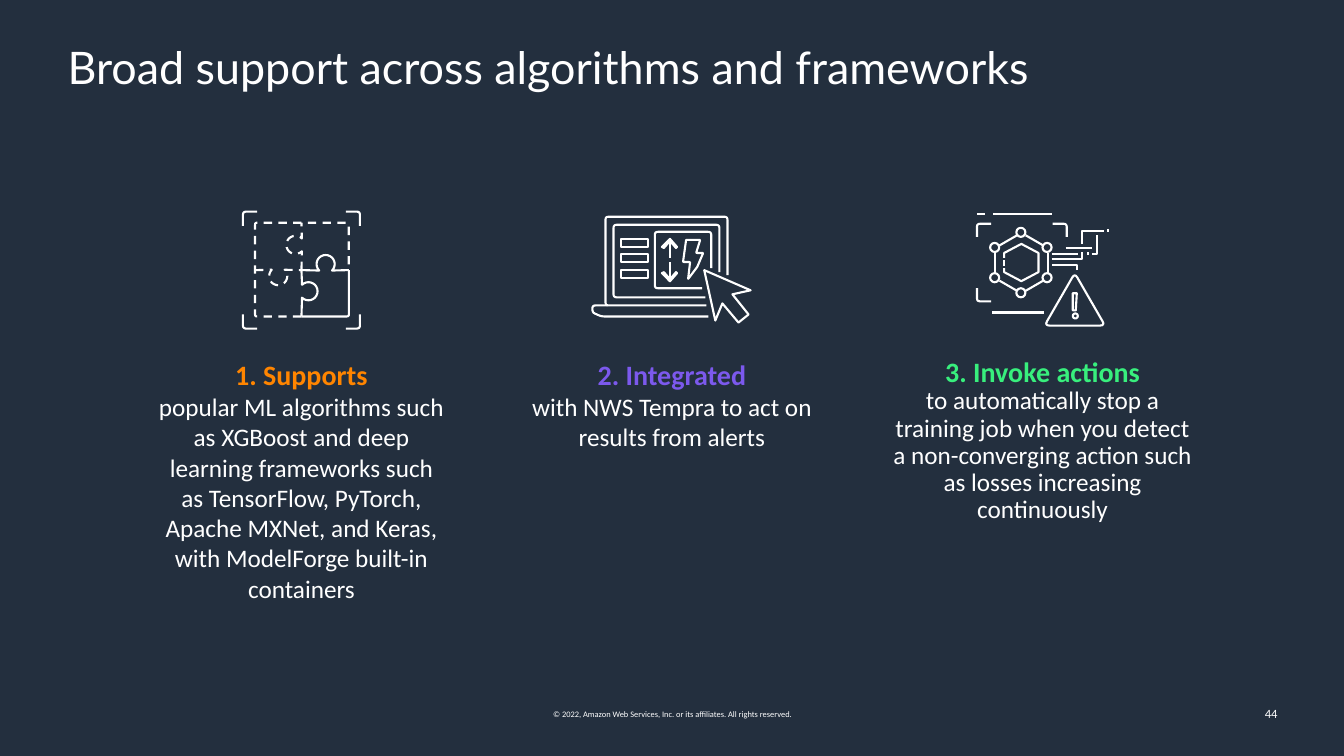
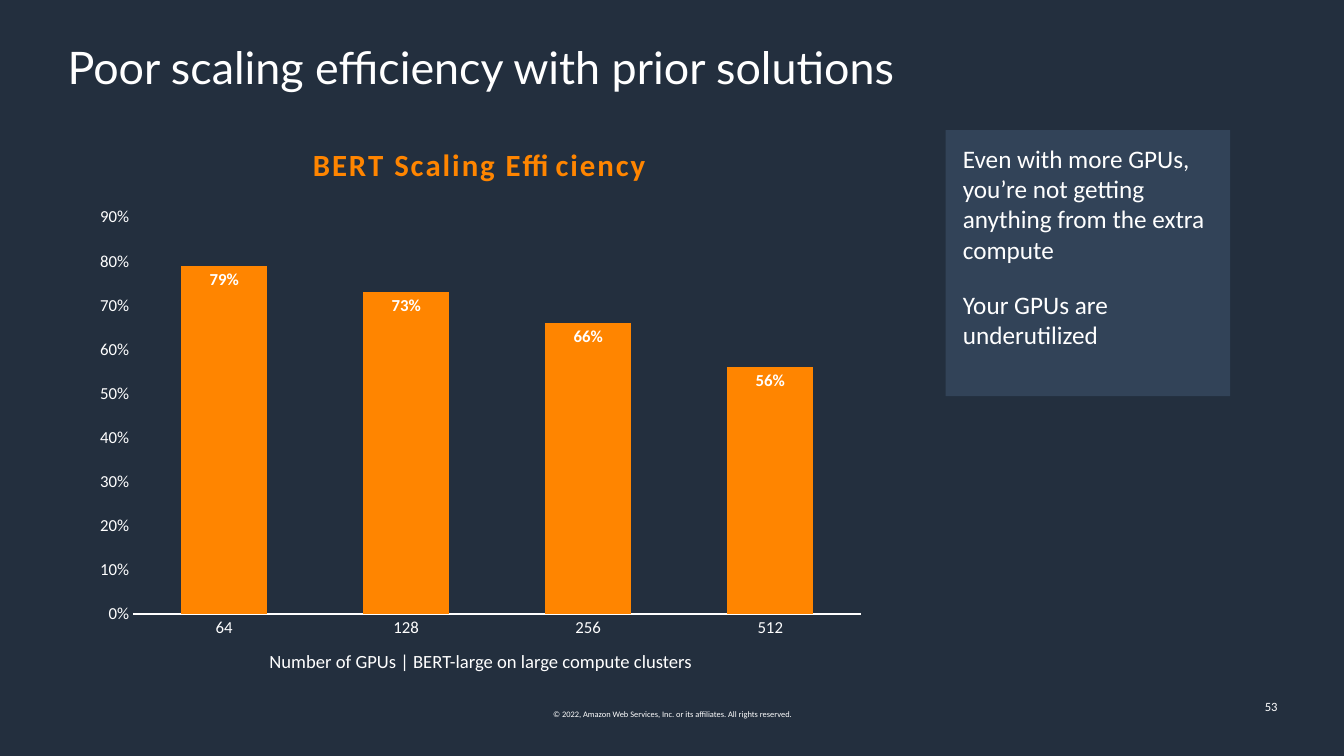
from dataclasses import dataclass
from math import cos, dist, radians, sin

from pptx import Presentation
from pptx.chart.data import CategoryChartData
from pptx.dml.color import RGBColor
from pptx.enum.chart import XL_CHART_TYPE, XL_LABEL_POSITION, XL_TICK_MARK
from pptx.enum.dml import MSO_LINE
from pptx.enum.shapes import MSO_CONNECTOR, MSO_SHAPE
from pptx.enum.text import MSO_ANCHOR, PP_ALIGN
from pptx.oxml.xmlchemy import OxmlElement
from pptx.util import Inches, Pt


@dataclass(frozen=True)
class Theme:
    background: RGBColor = RGBColor(0x23, 0x2F, 0x3E)
    panel: RGBColor = RGBColor(0x32, 0x43, 0x58)
    white: RGBColor = RGBColor(0xFF, 0xFF, 0xFF)
    arrowhead: RGBColor = RGBColor(0xEF, 0xF5, 0xED)
    orange: RGBColor = RGBColor(0xFF, 0x85, 0x00)
    purple: RGBColor = RGBColor(0x7C, 0x59, 0xED)
    green: RGBColor = RGBColor(0x38, 0xEF, 0x7D)
    title_font: str = "Lato"
    body_font: str = "Calibri"
    title: float = 32
    chart_title: float = 22
    heading: float = 20
    body: float = 18
    caption: float = 13.3
    axis: float = 12
    number: float = 9
    legal: float = 6
    stroke: float = 1.5


THEME = Theme()
LEGAL = "© 2022, Amazon Web Services, Inc. or its affiliates. All rights reserved."


# Text helpers
def set_all(target, **values):
    for name, value in values.items():
        setattr(target, name, value)


def style_font(font, size, color=THEME.white, bold=False, name=THEME.body_font):
    set_all(font, size=Pt(size), bold=bold, name=name)
    font.color.rgb = color


def set_frame(frame, margins=(0, 0), anchor=MSO_ANCHOR.TOP):
    side, top = (Inches(margin) for margin in margins)
    set_all(frame, word_wrap=True, vertical_anchor=anchor, margin_left=side,
            margin_right=side, margin_top=top, margin_bottom=top)


def write(frame, lines, **paragraph_format):
    """Each line is (text, size, color, bold)."""
    for index, (text, size, color, bold) in enumerate(lines):
        paragraph = frame.add_paragraph() if index else frame.paragraphs[0]
        paragraph.text = text
        set_all(paragraph, **paragraph_format)
        for run in paragraph.runs:
            style_font(run.font, size, color, bold)


def add_text(slide, box, lines, margins=(0, 0), anchor=MSO_ANCHOR.TOP, **paragraph_format):
    frame = slide.shapes.add_textbox(*map(Inches, box)).text_frame
    set_frame(frame, margins, anchor)
    write(frame, lines, **paragraph_format)


# Icon drawing, in inches from the icon's own origin
def arc(center_x, center_y, radius, start, end, steps=18):
    angles = [radians(start + (end - start) * step / steps) for step in range(steps + 1)]
    return [(center_x + radius * cos(a), center_y + radius * sin(a)) for a in angles]


def round_corners(points, radius, closed):
    """Replace each corner with a short quadratic curve."""
    result = [] if closed else [points[0]]
    count = len(points)
    for index in range(count) if closed else range(1, count - 1):
        corner = points[index]
        ends = []
        for other in (points[index - 1], points[(index + 1) % count]):
            share = min(0.5, radius / dist(corner, other))
            ends.append([c + (o - c) * share for c, o in zip(corner, other)])
        for t in (0, 0.25, 0.5, 0.75, 1):
            result.append(tuple((1 - t) ** 2 * a + 2 * t * (1 - t) * c + t ** 2 * b
                                for a, c, b in zip(ends[0], corner, ends[1])))
    return result if closed else result + [points[-1]]


class Icon:
    def __init__(self, slide, left, top):
        self.shapes = slide.shapes.add_group_shape().shapes
        self.left, self.top = left, top

    def finish(self, shape, fill=None, dashed=False):
        shape.shadow.inherit = False
        if fill is None:
            shape.fill.background()
        else:
            shape.fill.solid()
            shape.fill.fore_color.rgb = fill
        self.stroke(shape, dashed)

    def stroke(self, shape, dashed=False):
        shape.line.color.rgb = THEME.white
        shape.line.width = Pt(THEME.stroke)
        if dashed:
            shape.line.dash_style = MSO_LINE.DASH

    def outline(self, points, closed=False, radius=0, fill=None, dashed=False):
        if radius:
            points = round_corners(points, radius, closed)
        grid = [(round(x * 1000), round(y * 1000)) for x, y in points]
        builder = self.shapes.build_freeform(*grid[0], scale=Inches(1) / 1000)
        builder.add_line_segments(grid[1:], close=closed)
        shape = builder.convert_to_shape(Inches(self.left), Inches(self.top))
        self.finish(shape, fill, dashed)

    def preset(self, kind, x, y, width, height):
        self.finish(self.shapes.add_shape(
            kind, Inches(self.left + x), Inches(self.top + y), Inches(width), Inches(height)))

    def line(self, x1, y1, x2, y2):
        connector = self.shapes.add_connector(
            MSO_CONNECTOR.STRAIGHT, Inches(self.left + x1), Inches(self.top + y1),
            Inches(self.left + x2), Inches(self.top + y2))
        self.stroke(connector)
        connector._element.spPr.append(OxmlElement("a:effectLst"))


def puzzle_icon(icon):
    # Dashed board with one solid piece
    icon.outline([(1.5, 1.04), (1.04, 1.04), (1.04, 0.11), (1.97, 0.11), (1.97, 0.58)],
                 radius=0.02, dashed=True)
    icon.outline([(1.97, 0.58), (1.97, 1.04), (1.5, 1.04)], radius=0.02)
    # Joints: start, knob, end, dashed
    joints = [((1.04, 0.58), arc(1.27, 0.64, 0.09, 225, -45), (1.5, 0.58), True),
              ((1.5, 0.58), arc(1.74, 0.52, 0.09, 135, 405), (1.97, 0.58), False),
              ((1.5, 1.04), arc(1.57, 0.79, 0.09, 135, -135), (1.5, 0.58), False),
              ((1.5, 0.58), arc(1.44, 0.33, 0.09, 45, 315), (1.5, 0.11), True)]
    for start, knob, end, dashed in joints:
        icon.outline([start, *knob, end], dashed=dashed)
    # Corner brackets
    for x, dx in ((0.92, 0.14), (2.08, -0.14)):
        for y, dy in ((0, 0.14), (1.16, -0.14)):
            icon.outline([(x, y + dy), (x, y), (x + dx, y)], radius=0.03)


def laptop_icon(icon):
    # Screen, lid, base and side panel
    for points in ([(1.97, 0.6), (1.97, 0.13), (0.92, 0.13), (0.92, 0.85), (1.83, 0.85)],
                   [(2.05, 0.63), (2.05, 0.05), (0.84, 0.05), (0.84, 0.93), (1.84, 0.93)],
                   [(1.86, 1.04), (0.8, 1.04), (0.71, 1), (0.71, 0.93), (0.86, 0.93)],
                   [(1.8, 0.76), (1.33, 0.76), (1.33, 0.2), (1.89, 0.2), (1.89, 0.56)]):
        icon.outline(points, radius=0.03)
    for y in (0.27, 0.42, 0.58):
        icon.preset(MSO_SHAPE.RECTANGLE, 0.99, y, 0.27, 0.08)
    # Cursor and lightning bolt
    icon.outline([(2.1, 0.82), (2.26, 1.02), (2.16, 1.1), (2, 0.91), (1.93, 1.08),
                  (1.82, 0.58), (2.28, 0.78)], closed=True)
    icon.outline([(1.66, 0.67), (1.68, 0.5), (1.61, 0.5), (1.64, 0.28), (1.78, 0.28),
                  (1.74, 0.41), (1.81, 0.41), (1.75, 0.55)], closed=True, radius=0.01)
    # Up and down arrows, mirrored about one height
    head = [(1.55, -0.13), (1.54, -0.12), (1.48, -0.19), (1.42, -0.12), (1.4, -0.13),
            (1.48, -0.21)]
    for sign in (1, -1):
        icon.line(1.48, 0.48 - 0.02 * sign, 1.48, 0.48 - 0.19 * sign)
        icon.outline([(x, 0.48 + sign * y) for x, y in head], closed=True,
                     fill=THEME.arrowhead)


def alert_icon(icon):
    # Hexagon of linked nodes
    nodes = arc(1.29, 0.51, 0.3, 30, 390, steps=6)
    for (x1, y1), (x2, y2) in zip(nodes, nodes[1:]):
        icon.preset(MSO_SHAPE.OVAL, x1 - 0.05, y1 - 0.05, 0.09, 0.09)
        dx, dy = (x2 - x1) / 6, (y2 - y1) / 6
        icon.line(x1 + dx, y1 + dy, x2 - dx, y2 - dy)
    icon.outline([(1.12, 0.46), (1.12, 0.41), (1.29, 0.32), (1.46, 0.41), (1.46, 0.6),
                  (1.29, 0.69), (1.12, 0.6), (1.12, 0.56)])
    # Frame corners
    for x, y, dx, dy in ((0.85, 0.89, 0.14, -0.13), (0.85, 0.12, 0.14, 0.13),
                         (1.74, 0.12, -0.14, 0.13)):
        icon.outline([(x, y + dy), (x, y), (x + dx, y)], radius=0.03)
    # Frame dashes and circuit traces
    for ends in ((1.12, 0.54, 1.12, 0.48), (1, 1, 1.51, 1), (1.01, 0.02, 1.59, 0.02),
                 (0.85, 0.02, 0.93, 0.02), (1.95, 0.4, 1.95, 0.43), (1.73, 0.36, 1.99, 0.36),
                 (1.59, 0.42, 1.85, 0.42), (2.15, 0.2, 2.15, 0.17)):
        icon.line(*ends)
    for trace in ([(1.99, 0.42), (2.04, 0.42), (2.04, 0.23)],
                  [(1.89, 0.32), (1.89, 0.19), (2.11, 0.19)],
                  [(1.59, 0.47), (1.89, 0.47), (1.89, 0.4)],
                  [(1.84, 0.58), (1.84, 0.53), (1.59, 0.53)]):
        icon.outline(trace)
    # Warning triangle
    icon.outline([(1.82, 0.61), (2.12, 1.13), (1.52, 1.13)], closed=True, radius=0.05)
    icon.outline([(1.8, 0.98), (1.8, 0.81), (1.84, 0.81), (1.83, 0.98)], closed=True)
    icon.preset(MSO_SHAPE.OVAL, 1.8, 1.01, 0.05, 0.05)


# Shared slide frame
def new_slide(presentation, title, number, number_anchor):
    slide = presentation.slides.add_slide(presentation.slide_layouts[5])
    heading = slide.shapes.title
    set_all(heading, left=Inches(0.67), top=Inches(0.4), width=Inches(12), height=Inches(0.59))
    set_frame(heading.text_frame, (0, 0.05))
    paragraph = heading.text_frame.paragraphs[0]
    paragraph.text = title
    set_all(paragraph, alignment=PP_ALIGN.LEFT, line_spacing=0.9)
    style_font(paragraph.runs[0].font, THEME.title, name=THEME.title_font)
    add_text(slide, (5.25, 6.99, 2.84, 0.2), [(LEGAL, THEME.legal, THEME.white, False)],
             (0, 0.05), alignment=PP_ALIGN.CENTER)
    add_text(slide, (9.77, 6.88, 3, 0.4), [(number, THEME.number, THEME.white, False)],
             (0.1, 0.05), number_anchor, alignment=PP_ALIGN.RIGHT)
    return slide


def add_column(slide, left, top, draw_icon, heading, color, text, spacing):
    draw_icon(Icon(slide, left, top))
    add_text(slide, (left, top + 1.45, 3, 2.54),
             [(heading, THEME.heading, color, True), (text, THEME.body, THEME.white, False)],
             alignment=PP_ALIGN.CENTER, line_spacing=spacing)


def build_support_slide(presentation):
    slide = new_slide(presentation, "Broad support across algorithms and frameworks", "44",
                      MSO_ANCHOR.MIDDLE)
    columns = [
        (puzzle_icon, "1. Supports", THEME.orange,
         "popular ML algorithms such as XGBoost and deep learning frameworks such\v"
         "as TensorFlow, PyTorch, Apache MXNet, and Keras, with ModelForge built-in containers",
         1.0),
        (laptop_icon, "2. Integrated", THEME.purple,
         "with NWS Tempra to act on results from alerts", 1.0),
        (alert_icon, "3. Invoke actions", THEME.green,
         "to automatically stop a training job when you detect a non-converging action "
         "such as losses increasing continuously", 0.9)]
    for index, column in enumerate(columns):
        add_column(slide, 1.49 + 3.675 * index, 2.1, *column)


# Chart
def manual_layout(parent, position, **values):
    for old in parent.findall("{*}layout"):
        parent.remove(old)
    layout, manual = OxmlElement("c:layout"), OxmlElement("c:manualLayout")
    layout.append(manual)
    target = {"layoutTarget": "inner"} if "w" in values else {}
    for name, value in {**target, "xMode": "edge", "yMode": "edge", **values}.items():
        element = OxmlElement(f"c:{name}")
        element.set("val", str(value))
        manual.append(element)
    parent.insert(position, layout)


def add_efficiency_chart(slide, left, top, width, height):
    data = CategoryChartData(number_format="0%")
    data.categories = ["64", "128", "256", "512"]
    data.add_series("Series 1", (0.79, 0.73, 0.66, 0.56))
    chart = slide.shapes.add_chart(XL_CHART_TYPE.COLUMN_CLUSTERED,
                                   *map(Inches, (left, top, width, height)), data).chart
    chart.has_legend = False
    style_font(chart.font, THEME.axis)
    # Title
    write(chart.chart_title.text_frame,
          [("BERT Scaling Efficiency", THEME.chart_title, THEME.orange, True)])
    run = chart.chart_title.text_frame.paragraphs[0].runs[0]
    run.font._element.set("spc", "150")
    manual_layout(chart.chart_title._element, 1, x=0.28, y=0.03)
    # Columns and labels
    plot = chart.plots[0]
    set_all(plot, gap_width=113, overlap=-59, vary_by_categories=False, has_data_labels=True)
    fill = plot.series[0].format.fill
    fill.solid()
    fill.fore_color.rgb = THEME.orange
    set_all(plot.data_labels, show_value=True, position=XL_LABEL_POSITION.INSIDE_END,
            number_format="0%", number_format_is_linked=False)
    style_font(plot.data_labels.font, THEME.axis, bold=True)
    manual_layout(chart._chartSpace.chart.plotArea, 0, x=0.06, y=0.18, w=0.92, h=0.75)
    # Axes
    for axis in (chart.category_axis, chart.value_axis):
        set_all(axis, major_tick_mark=XL_TICK_MARK.NONE, minor_tick_mark=XL_TICK_MARK.NONE,
                has_major_gridlines=False)
        style_font(axis.tick_labels.font, THEME.axis)
    line = chart.category_axis.format.line
    line.color.rgb = THEME.white
    line.width = Pt(THEME.stroke)
    set_all(chart.value_axis, minimum_scale=0, maximum_scale=0.9, major_unit=0.1)
    set_all(chart.value_axis.tick_labels, number_format="0%", number_format_is_linked=False)
    chart.value_axis.format.line.fill.background()
    # Caption
    add_text(slide, (left + 1.38, top + 5.16, 5.08, 0.47),
             [("Number of GPUs | BERT-large on large compute clusters", THEME.caption,
               THEME.white, False)], (0.17, 0.13), alignment=PP_ALIGN.CENTER, line_spacing=0.9)


def add_panel(slide, box, texts):
    panel = slide.shapes.add_shape(MSO_SHAPE.RECTANGLE, *map(Inches, box))
    panel.shadow.inherit = False
    panel.fill.solid()
    panel.fill.fore_color.rgb = THEME.panel
    panel.line.fill.background()
    set_frame(panel.text_frame, (0.17, 0.13))
    write(panel.text_frame, [(text, THEME.body, THEME.white, False) for text in texts],
          alignment=PP_ALIGN.LEFT, space_after=Pt(18))


def build_scaling_slide(presentation):
    slide = new_slide(presentation, "Poor scaling efficiency with prior solutions", "53",
                      MSO_ANCHOR.TOP)
    add_efficiency_chart(slide, 0.85, 1.21, 7.85, 5.25)
    add_panel(slide, (9.38, 1.29, 2.82, 2.64),
              ["Even with more GPUs, you’re not getting anything from the extra compute",
               "Your GPUs are underutilized"])


def main():
    presentation = Presentation()
    set_all(presentation, slide_width=Inches(13.33), slide_height=Inches(7.5))
    background = presentation.slide_master.background.fill
    background.solid()
    background.fore_color.rgb = THEME.background
    build_support_slide(presentation)
    build_scaling_slide(presentation)
    presentation.save("out.pptx")


if __name__ == "__main__":
    main()
